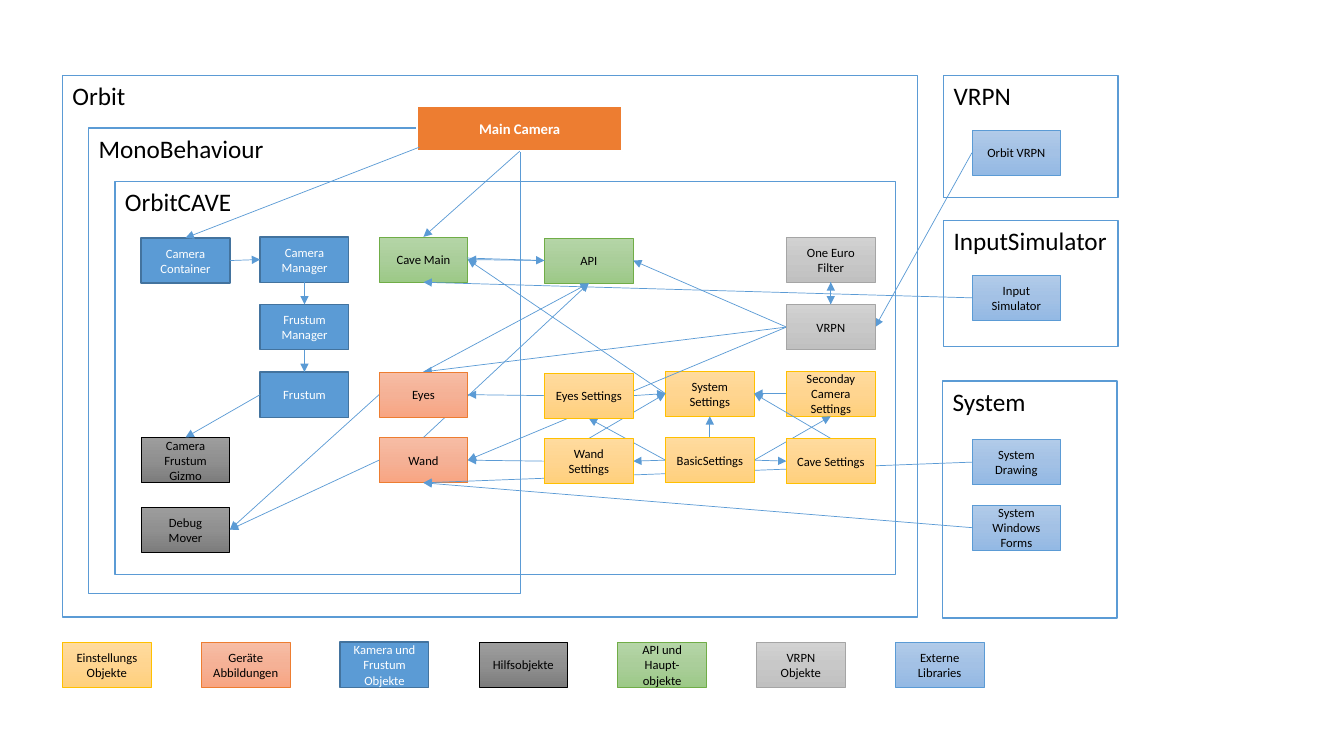
import copy

import pptx
import pptx.dml.color
import pptx.enum.shapes
import pptx.enum.text
import pptx.oxml
import pptx.oxml.ns
import pptx.util

Inches = pptx.util.Inches
TOP, LEFT, BOTTOM, RIGHT = range(4)
BLUE = "5B9BD5"
BOX_W, BOX_H = 0.88, 0.45

STYLES = {
    "settings": (["FFDB9E", "FFD590", "FFD07C"], "FFC000", 0.5, "000000"),
    "device": (["F7BDA5", "F5B196", "F8A582"], "ED7D31", 0.5, "000000"),
    "camera": ([BLUE], "43739E", 1, "FFFFFF"),
    "helper": (["9D9D9D", "909090", "7C7C7C"], "000000", 0.5, "000000"),
    "api": (["B5D5A7", "AACE9A", "9CC987"], "70AD47", 0.5, "000000"),
    "vrpn": (["D2D2D2", "C8C8C8", "C0C0C0"], "A5A5A5", 0.5, "000000"),
    "library": (["B1CBE9", "A3C1E5", "93B9E4"], BLUE, 0.5, "000000"),
    "main": (["ED7D31"], "FFFFFF", 1.5, "FFFFFF"),
    "frame": (["FFFFFF"], BLUE, 1, "000000"),
    "open frame": ([], BLUE, 1, "000000"),
}

FRAMES = [
    ("Orbit", 0.62, 0.75, 8.48, 5.37, "frame"),
    ("VRPN", 9.36, 0.75, 1.73, 1.21, "frame"),
    ("MonoBehaviour", 0.88, 1.27, 4.28, 4.62, "open frame"),
    ("OrbitCAVE", 1.14, 1.8, 7.74, 3.9, "open frame"),
    ("InputSimulator", 9.36, 2.19, 1.73, 1.25, "frame"),
    ("System", 9.35, 3.78, 1.73, 2.35, "frame"),
]

BOXES = [
    ("API", 5.4, 2.36, "api"),
    ("Debug Mover", 1.4, 5.03, "helper"),
    ("Camera Container", 1.4, 2.36, "camera"),
    ("Camera Frustum Gizmo", 1.4, 4.34, "helper"),
    ("Camera Manager", 2.58, 2.35, "camera"),
    ("Cave Main", 3.76, 2.35, "api"),
    ("Frustum Manager", 2.58, 3.02, "camera"),
    ("Frustum", 2.58, 3.69, "camera"),
    ("Wand", 3.76, 4.34, "device"),
    ("Seconday Camera Settings", 7.8, 3.68, "settings"),
    ("One Euro Filter", 7.8, 2.35, "vrpn"),
    ("System Settings", 6.6, 3.68, "settings"),
    ("Orbit VRPN", 9.64, 1.29, "library"),
    ("Input Simulator", 9.64, 2.73, "library"),
    ("System Drawing", 9.64, 4.36, "library"),
    ("System Windows Forms", 9.64, 5.01, "library"),
    ("VRPN", 7.8, 3.02, "vrpn"),
    ("Eyes", 3.76, 3.69, "device"),
    ("Eyes Settings", 5.4, 3.7, "settings"),
    ("Cave Settings", 7.8, 4.35, "settings"),
    ("BasicSettings", 6.6, 4.34, "settings"),
    ("Wand Settings", 5.4, 4.35, "settings"),
]

IN_FRONT_OF_ARROWS = ["VRPN", "Eyes", "Eyes Settings", "Cave Settings",
                      "BasicSettings", "Wand Settings"]

LEGEND = [
    ("Einstellungs Objekte", "settings"),
    ("Geräte Abbildungen", "device"),
    ("Kamera und Frustum Objekte", "camera"),
    ("Hilfsobjekte", "helper"),
    ("API und Haupt-objekte", "api"),
    ("VRPN Objekte", "vrpn"),
    ("Externe Libraries", "library"),
]

ARROWS = [
    ((4.16, 1.46), ("Camera Container", TOP)),
    (("Camera Container", RIGHT), ("Camera Manager", LEFT)),
    (("Camera Manager", BOTTOM), ("Frustum Manager", TOP)),
    (("Frustum Manager", BOTTOM), ("Frustum", TOP)),
    (("Orbit VRPN", LEFT), ("VRPN", RIGHT)),
    (("VRPN", TOP), ("One Euro Filter", BOTTOM)),
    (("VRPN", LEFT), ("API", RIGHT)),
    (("One Euro Filter", BOTTOM), ("VRPN", TOP)),
    (("BasicSettings", RIGHT), ("Cave Settings", LEFT)),
    (("BasicSettings", RIGHT), ("Seconday Camera Settings", BOTTOM)),
    (("BasicSettings", LEFT), ("Wand Settings", RIGHT)),
    (("BasicSettings", TOP), ("System Settings", BOTTOM)),
    (("Eyes Settings", LEFT), ("Eyes", RIGHT)),
    (("VRPN", LEFT), ("Wand", RIGHT)),
    (("Wand Settings", LEFT), ("Wand", RIGHT)),
    (("VRPN", LEFT), ("Eyes", TOP)),
    (("Eyes", TOP), ("API", BOTTOM)),
    (("Wand", TOP), ("API", BOTTOM)),
    (("System Settings", LEFT), ("Cave Main", RIGHT)),
    (("Eyes Settings", RIGHT), ("System Settings", LEFT)),
    (("Wand Settings", TOP), ("System Settings", LEFT)),
    (("Cave Settings", TOP), ("System Settings", RIGHT)),
    (("Seconday Camera Settings", LEFT), ("System Settings", RIGHT)),
    (("Wand", LEFT), ("Debug Mover", RIGHT)),
    (("Frustum", LEFT), ("Camera Frustum Gizmo", TOP)),
    (("Eyes", LEFT), ("Debug Mover", RIGHT)),
    (("API", LEFT), ("Cave Main", RIGHT)),
    ((4.63, 2.56), ("API", LEFT)),
    (("Main Camera", BOTTOM), ("Cave Main", TOP)),
    (("Input Simulator", LEFT), ("Cave Main", BOTTOM)),
    (("System Drawing", LEFT), ("Wand", BOTTOM)),
    (("System Windows Forms", LEFT), ("Wand", BOTTOM)),
    (("BasicSettings", LEFT), ("Eyes Settings", BOTTOM)),
]


def rgb(value):
    """Turn a hex string into a colour."""
    return pptx.dml.color.RGBColor.from_string(value)


def fill_shape(sp, colors):
    """Fill a shape with nothing, one colour or three colours from top to bottom."""
    if not colors:
        sp.fill.background()
    elif len(colors) == 1:
        sp.fill.solid()
        sp.fill.fore_color.rgb = rgb(colors[0])
    else:
        sp.fill.gradient()
        sp.fill.gradient_angle = 270
        stops = sp.element.find(".//" + pptx.oxml.ns.qn("a:gsLst"))
        stops.insert(1, copy.deepcopy(stops[0]))
        stops[1].set("pos", "50000")
        for stop, color in zip(sp.fill.gradient_stops, colors):
            stop.color.rgb = rgb(color)


def add_rect(s, text, x, y, w, h, style, size=9, bold=False, centred=True):
    """Add a styled rectangle with its label."""
    colors, line, width, font = STYLES[style]
    sp = s.shapes.add_shape(pptx.enum.shapes.MSO_SHAPE.RECTANGLE,
                            Inches(x), Inches(y), Inches(w), Inches(h))
    sp.shadow.inherit = False
    fill_shape(sp, colors)
    sp.line.color.rgb = rgb(line)
    sp.line.width = pptx.util.Pt(width)
    tf = sp.text_frame
    tf.word_wrap = True
    anchor, align = pptx.enum.text.MSO_ANCHOR, pptx.enum.text.PP_ALIGN
    tf.vertical_anchor = anchor.MIDDLE if centred else anchor.TOP
    p = tf.paragraphs[0]
    p.text = text
    p.alignment = align.CENTER if centred else align.LEFT
    p.font.name = "Calibri"
    p.font.size = pptx.util.Pt(size)
    p.font.bold = bold
    p.font.color.rgb = rgb(font)
    return sp


def add_arrow(s, boxes, start, end):
    """Add an arrow from a point or box side to a box side."""
    c = s.shapes.add_connector(pptx.enum.shapes.MSO_CONNECTOR.STRAIGHT, 0, 0, 0, 0)
    if start[0] in boxes:
        c.begin_connect(boxes[start[0]], start[1])
    else:
        c.begin_x, c.begin_y = Inches(start[0]), Inches(start[1])
    c.end_connect(boxes[end[0]], end[1])
    c.line.color.rgb = rgb(BLUE)
    c.line.width = pptx.util.Pt(0.5)
    ns = pptx.oxml.ns.nsdecls("a")
    c.line.color
    ln = c.element.spPr.find(pptx.oxml.ns.qn("a:ln"))
    ln.append(pptx.oxml.parse_xml(f'<a:tailEnd {ns} type="triangle"/>'))
    c.element.spPr.append(pptx.oxml.parse_xml(f"<a:effectLst {ns}/>"))


def main():
    """Build the class diagram and save it."""
    prs = pptx.Presentation()
    prs.slide_width, prs.slide_height = Inches(13.33), Inches(7.5)
    s = prs.slides.add_slide(prs.slide_layouts[6])
    for text, x, y, w, h, style in FRAMES:
        add_rect(s, text, x, y, w, h, style, size=18, centred=False)
    boxes = {text: add_rect(s, text, x, y, BOX_W, BOX_H, style)
             for text, x, y, style in BOXES}
    boxes["Main Camera"] = add_rect(s, "Main Camera", 4.14, 1.05, 2.03, 0.45,
                                    "main", size=10.5, bold=True)
    for start, end in ARROWS:
        add_arrow(s, boxes, start, end)
    for name in IN_FRONT_OF_ARROWS:
        element = boxes[name].element
        element.getparent().append(element)
    for i, (text, style) in enumerate(LEGEND):
        add_rect(s, text, 0.62 + i * 8.26 / 6, 6.37, BOX_W, BOX_H, style)
    prs.save("out.pptx")


if __name__ == "__main__":
    main()
